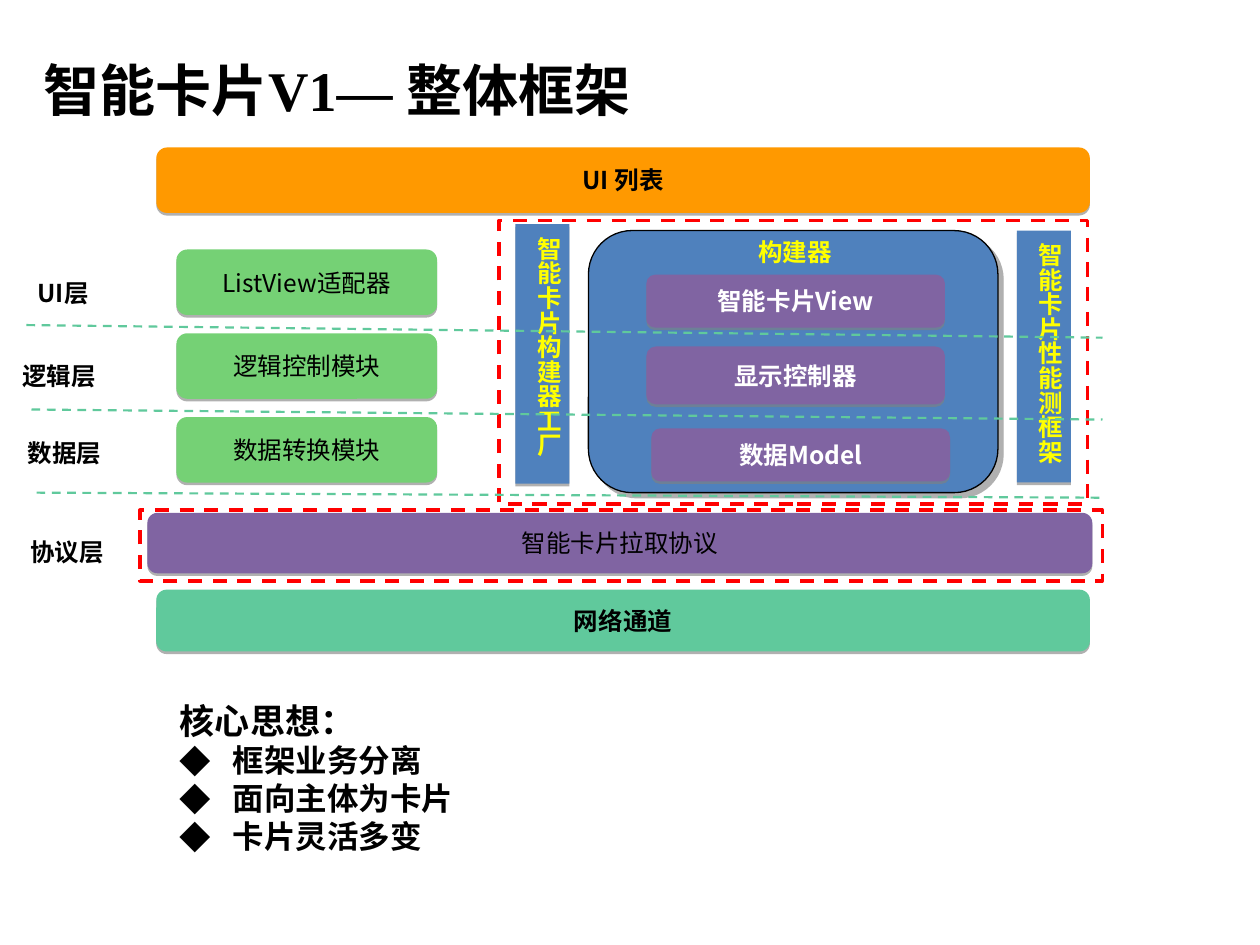
from lxml.etree import SubElement
from pptx import Presentation
from pptx.dml.color import RGBColor
from pptx.enum.dml import MSO_LINE
from pptx.enum.shapes import MSO_CONNECTOR, MSO_SHAPE
from pptx.enum.text import MSO_ANCHOR, PP_ALIGN
from pptx.oxml.ns import qn
from pptx.util import Inches, Pt

SANS = "Noto Sans CJK SC"
BLACK, WHITE, YELLOW, RED = "000000", "FFFFFF", "FFFF00", "FF0000"
BLUE, PURPLE, GREEN, TEAL, ORANGE = "4F81BD", "8064A2", "75D175", "60C99C", "FF9900"
SOFT = {"color": "808080", "alpha": 62, "dist": 1.5, "angle": 90}
DEEP = {"color": "969696", "alpha": 75, "dist": 4.2, "angle": 45}


def paint(target, color):
    """Give a fill or a font a solid colour from a hex string."""
    if hasattr(target, "solid"):
        target.solid()
        target.fore_color.rgb = RGBColor.from_string(color)
    else:
        target.color.rgb = RGBColor.from_string(color)


def stroke(line, color, width, dash=None):
    """Set the colour, width and dash of a line."""
    paint(line.fill, color)
    for name, value in {"width": Pt(width), "dash_style": dash}.items():
        setattr(line, name, value)


def shade(shape, look):
    """Give a shape an outer shadow."""
    list_ = shape.element.spPr.find(qn("a:effectLst"))
    outer = SubElement(list_, qn("a:outerShdw"), dist=str(Pt(look["dist"])),
                       dir=str(look["angle"] * 60000), rotWithShape="0")
    tone = SubElement(outer, qn("a:srgbClr"), val=look["color"])
    SubElement(tone, qn("a:alpha"), val=str(look["alpha"] * 1000))


def write(para, text, size=14, color=BLACK, bold=True, face=SANS):
    """Put one formatted run into a paragraph."""
    run = para.add_run()
    run.text = text
    for name, value in {"size": Pt(size), "bold": bold, "name": face}.items():
        setattr(run.font, name, value)
    paint(run.font, color)
    SubElement(run.font._element, qn("a:ea"), typeface=SANS)


def label(slide, place, text, **style):
    """Add a wrapping text box and return its frame."""
    frame = slide.shapes.add_textbox(*map(Inches, place)).text_frame
    frame.word_wrap = True
    write(frame.paragraphs[0], text, **style)
    return frame


def block(slide, kind, place, fill=None, look=SOFT):
    """Add a shape without an outline, with a fill and shadow if named."""
    shape = slide.shapes.add_shape(kind, *map(Inches, place))
    shape.shadow.inherit = False
    shape.line.fill.background()
    if fill:
        paint(shape.fill, fill)
        shade(shape, look)
    else:
        shape.fill.background()
    return shape


def bar(slide, place, text, fill, **style):
    """Add a rounded bar with centred text."""
    frame = block(slide, MSO_SHAPE.ROUNDED_RECTANGLE, place, fill).text_frame
    for name, value in {"word_wrap": False, "vertical_anchor": MSO_ANCHOR.MIDDLE}.items():
        setattr(frame, name, value)
    frame.paragraphs[0].alignment = PP_ALIGN.CENTER
    write(frame.paragraphs[0], text, **style)


def pillar(slide, place, text):
    """Add a tall box with upright vertical text."""
    shape = block(slide, MSO_SHAPE.RECTANGLE, place, BLUE)
    frame = shape.text_frame
    layout = {"margin_left": Inches(0.05), "margin_right": Inches(0.05),
              "margin_top": Inches(0.1), "margin_bottom": Inches(0.1),
              "vertical_anchor": MSO_ANCHOR.TOP, "word_wrap": True}
    for name, value in layout.items():
        setattr(frame, name, value)
    shape.element.txBody.bodyPr.set("vert", "eaVert")
    frame.paragraphs[0].alignment = PP_ALIGN.CENTER
    write(frame.paragraphs[0], text, color=YELLOW)


def border(slide, place):
    """Add a dashed red frame."""
    stroke(block(slide, MSO_SHAPE.RECTANGLE, place).line, RED, 2, MSO_LINE.DASH)


def divide(slide, *ends):
    """Add a dashed line between two layers."""
    line = slide.shapes.add_connector(MSO_CONNECTOR.STRAIGHT, *map(Inches, ends))
    stroke(line.line, TEAL, 1.25, MSO_LINE.DASH)
    SubElement(line.element.spPr, qn("a:effectLst"))


def bullet(frame, text):
    """Add a paragraph with a diamond bullet."""
    para = frame.add_paragraph()
    props = para._p.get_or_add_pPr()
    for name, value in {"marL": Inches(0.42), "indent": -Inches(0.42)}.items():
        props.set(name, str(value))
    SubElement(props, qn("a:buFont"), typeface=SANS)
    SubElement(props, qn("a:buChar"), char="◆")
    write(para, text, size=18)


def main():
    """Build the slide and save it."""
    deck = Presentation()
    deck.slide_width, deck.slide_height = Inches(10), Inches(7.5)
    slide = deck.slides.add_slide(deck.slide_layouts[6])

    title = label(slide, (0.25, 0.08, 9, 1.25), "智能卡片V1— 整体框架",
                  size=32, face="Times New Roman")
    title.vertical_anchor = MSO_ANCHOR.MIDDLE

    border(slide, (1.11, 4.05, 7.64, 0.56))
    bar(slide, (1.24, 1.17, 7.41, 0.52), "UI 列表", ORANGE)
    bar(slide, (1.24, 4.68, 7.41, 0.49), "网络通道", TEAL)
    bar(slide, (1.17, 4.07, 7.5, 0.48), "智能卡片拉取协议", PURPLE, bold=False)

    layers = [(0.2, 2.16, "UI层"), (0.08, 2.82, "逻辑层"),
              (0.12, 3.43, "数据层"), (0.14, 4.21, "协议层")]
    for left, top, text in layers:
        label(slide, (left, top, 1.06, 0.34), text)

    for row, text in enumerate(["ListView适配器", "逻辑控制模块", "数据转换模块"]):
        bar(slide, (1.4, 1.98 + row * 0.665, 2.07, 0.52), text, GREEN, bold=False)

    ideas = label(slide, (1.33, 5.5, 7.67, 1.34), "核心思想：", size=20)
    for text in ["框架业务分离", "面向主体为卡片", "卡片灵活多变"]:
        bullet(ideas, text)

    pillar(slide, (4.09, 1.78, 0.43, 2.06), "智能卡片构建器工厂")
    panel = block(slide, MSO_SHAPE.ROUNDED_RECTANGLE, (4.67, 1.83, 3.25, 2.08), BLUE, DEEP)
    stroke(panel.line, BLACK, 0.75)
    parts = [(5.13, 2.18, 0.42, "智能卡片View"), (5.13, 2.75, 0.46, "显示控制器"),
             (5.17, 3.4, 0.42, "数据Model")]
    for left, top, height, text in parts:
        bar(slide, (left, top, 2.37, height), text, PURPLE, color=WHITE)
    pillar(slide, (8.07, 1.83, 0.43, 2), "智能卡片性能测框架")
    label(slide, (5.92, 1.83, 1.19, 0.34), "构建器", color=YELLOW)
    border(slide, (3.96, 1.75, 4.67, 2.25))

    for left, start, end in [(0.21, 2.58, 2.68), (0.25, 3.25, 3.33), (0.29, 3.91, 3.95)]:
        divide(slide, left, start, 8.75, end)

    deck.save("out.pptx")


if __name__ == "__main__":
    main()
